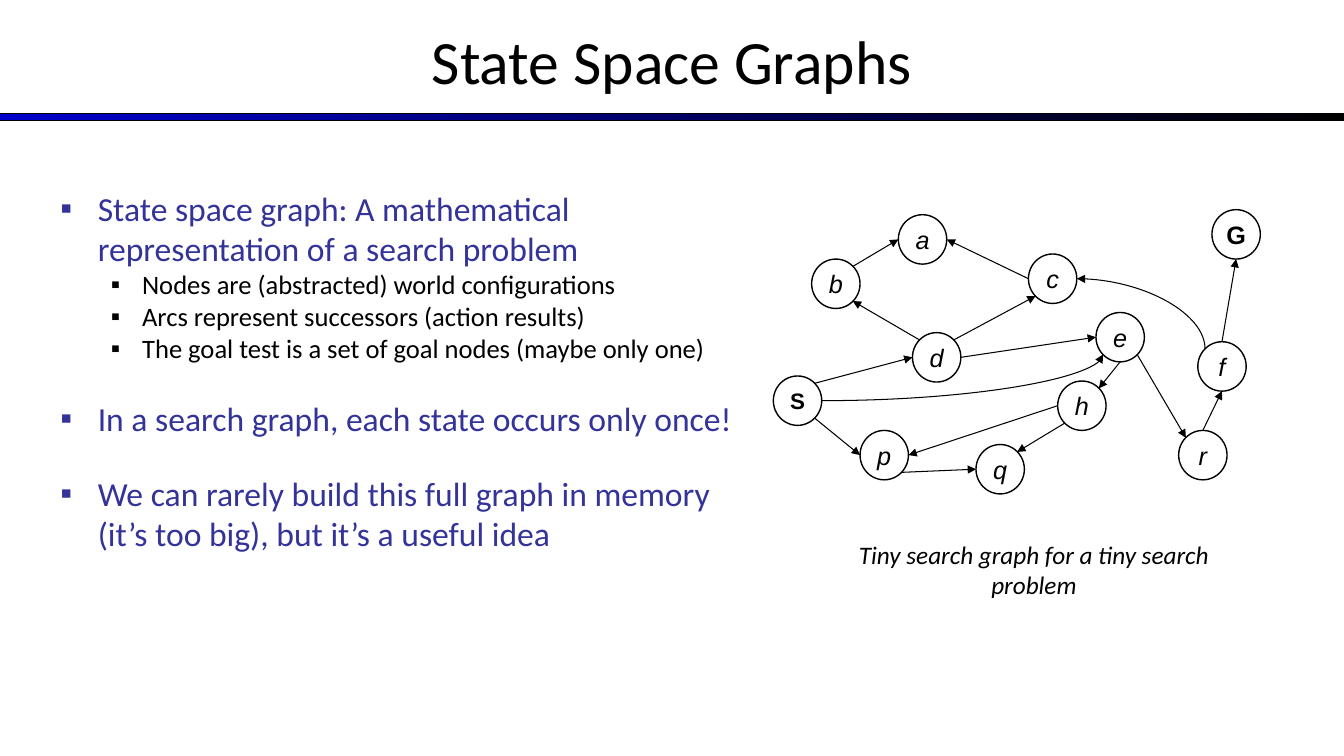
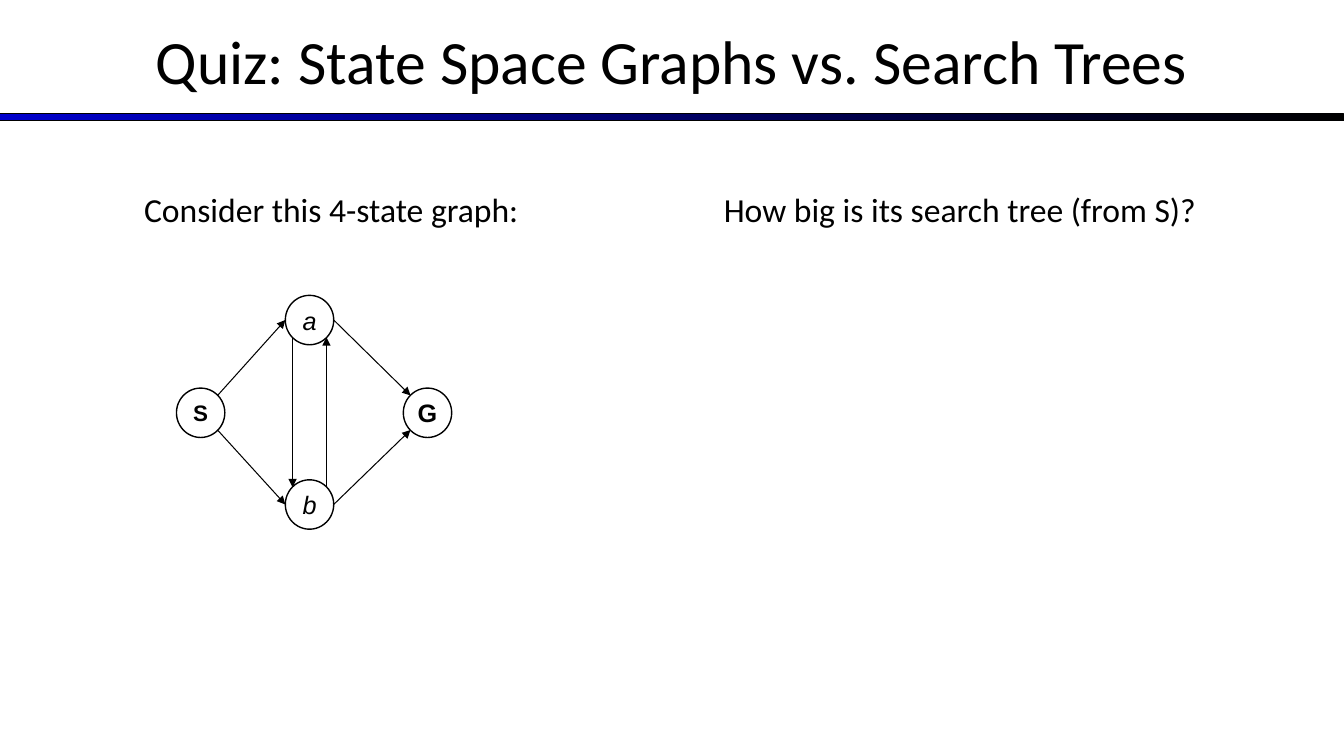
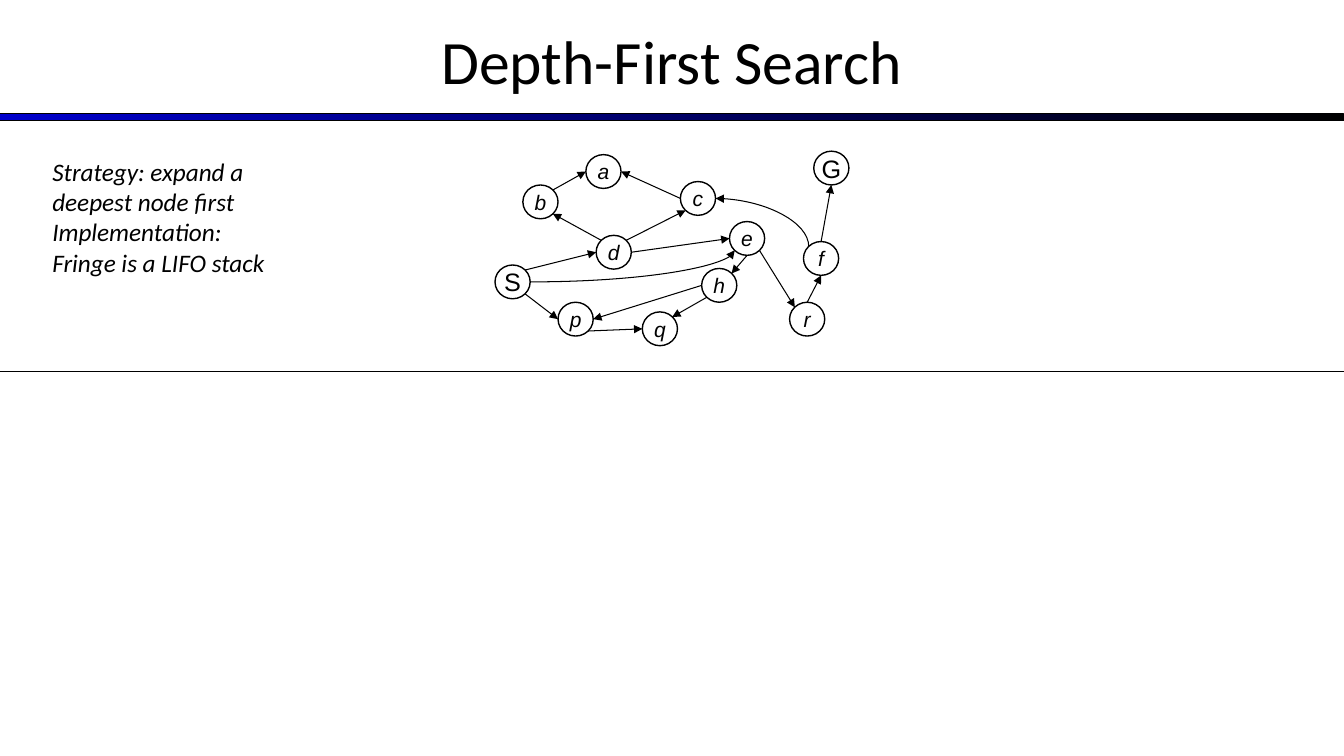
import dataclasses

import lxml.etree
import pptx
import pptx.dml.color
import pptx.enum.dml
import pptx.enum.shapes
import pptx.enum.text
import pptx.oxml
import pptx.oxml.ns
import pptx.util

Inches = pptx.util.Inches
Pt = pptx.util.Pt
qn = pptx.oxml.ns.qn


@dataclasses.dataclass(frozen=True)
class Theme:
    ink: str = "000000"
    accent: str = "333399"
    band_start: str = "0000CC"
    text_font: str = "Calibri"
    node_font: str = "Arial"
    bullet_size: float = 24
    sub_bullet_size: float = 19
    prompt_size: float = 24
    note_size: float = 18
    block_gap: float = 24.4
    node_line: float = 1
    edge_line: float = 0.75


@dataclasses.dataclass(frozen=True)
class NodeStyle:
    state_size: float = 18
    start_size: float = 16
    goal_size: float = 18
    bold_ends: bool = True


@dataclasses.dataclass(frozen=True)
class Graph:
    size: tuple    # width and height at full scale
    nodes: dict    # left and top of each node within the graph
    arcs: str      # "S5-p2" runs from site 5 of S to site 2 of p
    curves: str = ""


THEME = Theme()
SLIDE_SIZE = (13.33, 7.5)
NODE_SIZE = (0.48, 0.49)

# Connection sites of a round node, counter-clockwise from the top
NEAR, FAR = 0.15, 0.85
SITES = [(0.5, 0), (NEAR, NEAR), (0, 0.5), (NEAR, FAR),
         (0.5, 1), (FAR, FAR), (1, 0.5), (FAR, NEAR)]
SIDE_SITES = (2, 6)

SEARCH_GRAPH = Graph(
    size=(4.83, 2.82),
    nodes={"S": (0, 1.65), "G": (4.35, 0), "d": (1.38, 1.22), "b": (0.38, 0.49),
           "p": (0.86, 2.19), "q": (2.01, 2.33), "c": (2.53, 0.44), "e": (3.2, 1.02),
           "h": (2.82, 1.7), "a": (1.24, 0.05), "f": (4.21, 1.31), "r": (4.02, 2.19)},
    arcs="S5-p2 p5-q2 h3-q7 h2-p6 e4-h7 e5-r1 r0-f4 f0-G4 "
         "S7-d2 d1-b5 b7-a2 c2-a6 d7-c3 d6-e2",
    curves="f1-c6 S6-e3")

QUIZ_GRAPH = Graph(
    size=(2.73, 2.32),
    nodes={"S": (0, 0.92), "G": (2.25, 0.92), "b": (1.08, 1.83), "a": (1.08, 0)},
    arcs="S5-b2 a3-b1 b7-a5 a6-G1 b6-G3 S7-a2")


def rgb(code):
    return pptx.dml.color.RGBColor.from_string(code)


def place(part, box):
    part.left, part.top, part.width, part.height = map(Inches, box)


def style_font(font, name, size, bold=False, italic=False):
    font.name, font.size = name, Pt(size)
    font.bold, font.italic = bold, italic
    font.color.rgb = rgb(THEME.ink)


# Shared look, kept on the slide master

def style_bullets(master):
    levels = (("a:lvl1pPr", 0.37, 0.37, THEME.accent, THEME.bullet_size),
              ("a:lvl2pPr", 0.81, 0.31, THEME.ink, THEME.sub_bullet_size))
    body_style = master.element.find(".//" + qn("p:bodyStyle"))
    for tag, margin, hanging, color, size in levels:
        level = body_style.find(qn(tag))
        level.set("marL", str(Inches(margin)))
        level.set("indent", str(-Inches(hanging)))
        for child in list(level):
            level.remove(child)
        fill = f'<a:srgbClr val="{color}"/>'
        rules = pptx.oxml.parse_xml(
            f'<a:lvl1pPr {pptx.oxml.ns.nsdecls("a")}>'
            '<a:spcBef><a:spcPts val="0"/></a:spcBef>'
            f'<a:buClr>{fill}</a:buClr><a:buFont typeface="Arial"/><a:buChar char="▪"/>'
            f'<a:defRPr sz="{int(size * 100)}"><a:solidFill>{fill}</a:solidFill>'
            f'<a:latin typeface="{THEME.text_font}"/></a:defRPr></a:lvl1pPr>')
        level.extend(list(rules))


def add_band(master, slide):
    band = slide.shapes.add_shape(pptx.enum.shapes.MSO_SHAPE.RECTANGLE, 0, 0, 0, 0)
    place(band, (0, 1.13, SLIDE_SIZE[0], 0.07))
    band.shadow.inherit = False
    band.fill.gradient()
    band.fill.gradient_angle = 0
    for stop, position, color in zip(band.fill.gradient_stops, (0, 1),
                                     (THEME.band_start, THEME.ink)):
        stop.position = position
        stop.color.rgb = rgb(color)
    band.line.color.rgb = rgb(THEME.ink)
    band.line.width = Pt(THEME.edge_line)
    # Only slides can create shapes, so the band moves to the master afterwards
    band.element.nvSpPr.cNvPr.set("id", "20")
    master.shapes.element.insert(2, band.element)


def style_master(master):
    for holder in master.placeholders:
        if holder.placeholder_format.type == pptx.enum.shapes.PP_PLACEHOLDER.TITLE:
            place(holder, (0, -0.03, SLIDE_SIZE[0], 1.25))
        elif holder.placeholder_format.type == pptx.enum.shapes.PP_PLACEHOLDER.BODY:
            place(holder, (0.5, 1.81, 6.92, 4.95))
    style_bullets(master)


def add_slide(deck, layout_name, title):
    slide = deck.slides.add_slide(deck.slide_layouts.get_by_name(layout_name))
    slide.shapes.title.text_frame.text = title
    return slide


# Text regions

def add_text(slide, box, lines, size, italic=False, align=None):
    note = slide.shapes.add_textbox(*map(Inches, box))
    frame = note.text_frame
    frame.word_wrap = True
    frame.text = "\n".join(lines)
    for paragraph in frame.paragraphs:
        paragraph.alignment = align
        for run in paragraph.runs:
            style_font(run.font, THEME.text_font, size, italic=italic)


def fill_bullets(body, points):
    frame = body.text_frame
    frame.auto_size = pptx.enum.text.MSO_AUTO_SIZE.NONE
    frame.text = "\n".join(text for level, text in points)
    for index, (paragraph, (level, text)) in enumerate(zip(frame.paragraphs, points)):
        paragraph.level = level
        if index and level == 0:
            paragraph.space_before = Pt(THEME.block_gap)


# Lines and graphs

def add_line(slide, start, end, curved=False):
    kinds = pptx.enum.shapes.MSO_CONNECTOR
    line = slide.shapes.add_connector(kinds.CURVE if curved else kinds.STRAIGHT,
                                      *map(Inches, start + end))
    line.line.color.rgb = rgb(THEME.ink)
    line.line.width = Pt(THEME.edge_line)
    properties = line.element.spPr
    if curved:
        properties.find(qn("a:prstGeom")).set("prst", "curvedConnector2")
    lxml.etree.SubElement(properties, qn("a:effectLst"))
    return line


def add_node(slide, box, label, style):
    node = slide.shapes.add_shape(pptx.enum.shapes.MSO_SHAPE.FLOWCHART_CONNECTOR,
                                  *map(Inches, box))
    node.shadow.inherit = False
    node.fill.background()
    node.line.color.rgb = rgb(THEME.ink)
    node.line.width = Pt(THEME.node_line)
    frame = node.text_frame
    frame.margin_left = frame.margin_right = frame.margin_top = frame.margin_bottom = 0
    frame.word_wrap = False
    frame.vertical_anchor = pptx.enum.text.MSO_ANCHOR.MIDDLE
    frame.text = label
    paragraph = frame.paragraphs[0]
    paragraph.alignment = pptx.enum.text.PP_ALIGN.CENTER
    size = {"S": style.start_size, "G": style.goal_size}.get(label, style.state_size)
    is_end = label in "SG"
    style_font(paragraph.runs[0].font, THEME.node_font, size,
               bold=is_end and style.bold_ends, italic=not is_end)
    return node


def add_arc(slide, arc, nodes, boxes, curved=False):
    ends = [(end[0], int(end[1])) for end in arc.split("-")]
    # A curve is drawn from the node that it leaves sideways
    backwards = curved and ends[0][1] not in SIDE_SITES
    if backwards:
        ends.reverse()
    points = []
    for name, site in ends:
        left, top, width, height = boxes[name]
        across, down = SITES[site]
        points.append((left + across * width, top + down * height))
    line = add_line(slide, *points, curved=curved)
    arrowhead = "a:headEnd" if backwards else "a:tailEnd"
    outline = line.element.spPr.find(qn("a:ln"))
    lxml.etree.SubElement(outline, qn(arrowhead), type="triangle")
    glue = line.element.find(".//" + qn("p:cNvCxnSpPr"))
    for tag, (name, site) in zip(("a:stCxn", "a:endCxn"), ends):
        lxml.etree.SubElement(glue, qn(tag), id=str(nodes[name].shape_id), idx=str(site))


def add_graph(slide, box, graph, style):
    left, top, width, height = box
    scale_x, scale_y = width / graph.size[0], height / graph.size[1]
    boxes = {name: (left + x * scale_x, top + y * scale_y,
                    NODE_SIZE[0] * scale_x, NODE_SIZE[1] * scale_y)
             for name, (x, y) in graph.nodes.items()}
    nodes = {name: add_node(slide, node_box, name, style)
             for name, node_box in boxes.items()}
    for arc in graph.arcs.split():
        add_arc(slide, arc, nodes, boxes)
    for arc in graph.curves.split():
        add_arc(slide, arc, nodes, boxes, curved=True)


# Slides

def build_state_space(deck):
    slide = add_slide(deck, "Title and Content", "State Space Graphs")
    fill_bullets(slide.placeholders[1], [
        (0, "State space graph: A mathematical representation of a search problem"),
        (1, "Nodes are (abstracted) world configurations"),
        (1, "Arcs represent successors (action results)"),
        (1, "The goal test is a set of goal nodes (maybe only one)"),
        (0, "In a search graph, each state occurs only once!"),
        (0, "We can rarely build this full graph in memory (it’s too big), "
            "but it’s a useful idea"),
    ])
    add_graph(slide, (7.67, 2.08, 4.83, 2.82), SEARCH_GRAPH, NodeStyle())
    add_text(slide, (8.42, 5.3, 3.67, 0.71),
             ["Tiny search graph for a tiny search problem"], THEME.note_size,
             italic=True, align=pptx.enum.text.PP_ALIGN.CENTER)
    return slide


def build_quiz(deck):
    slide = add_slide(deck, "Title Only", "Quiz: State Space Graphs vs. Search Trees")
    add_graph(slide, (1.75, 2.93, 2.73, 2.32), QUIZ_GRAPH, NodeStyle())
    add_text(slide, (1.33, 1.83, 4.25, 0.5),
             ["Consider this 4-state graph:"], THEME.prompt_size)
    add_text(slide, (7.08, 1.83, 5.58, 0.5),
             ["How big is its search tree (from S)?"], THEME.prompt_size)


def build_depth_first(deck):
    slide = add_slide(deck, "Title Only", "Depth-First Search")
    add_graph(slide, (4.91, 1.5, 3.51, 1.93), SEARCH_GRAPH,
              NodeStyle(state_size=15, start_size=18, bold_ends=False))
    add_line(slide, (0, 3.69), (SLIDE_SIZE[0], 3.69))
    add_text(slide, (0.42, 1.5, 2.49, 1.46),
             ["Strategy: expand a deepest node first",
              "Implementation: Fringe is a LIFO stack"], THEME.note_size, italic=True)


def main():
    deck = pptx.Presentation()
    deck.slide_width, deck.slide_height = map(Inches, SLIDE_SIZE)
    style_master(deck.slide_master)
    first_slide = build_state_space(deck)
    add_band(deck.slide_master, first_slide)
    build_quiz(deck)
    build_depth_first(deck)
    deck.save("out.pptx")


if __name__ == "__main__":
    main()
